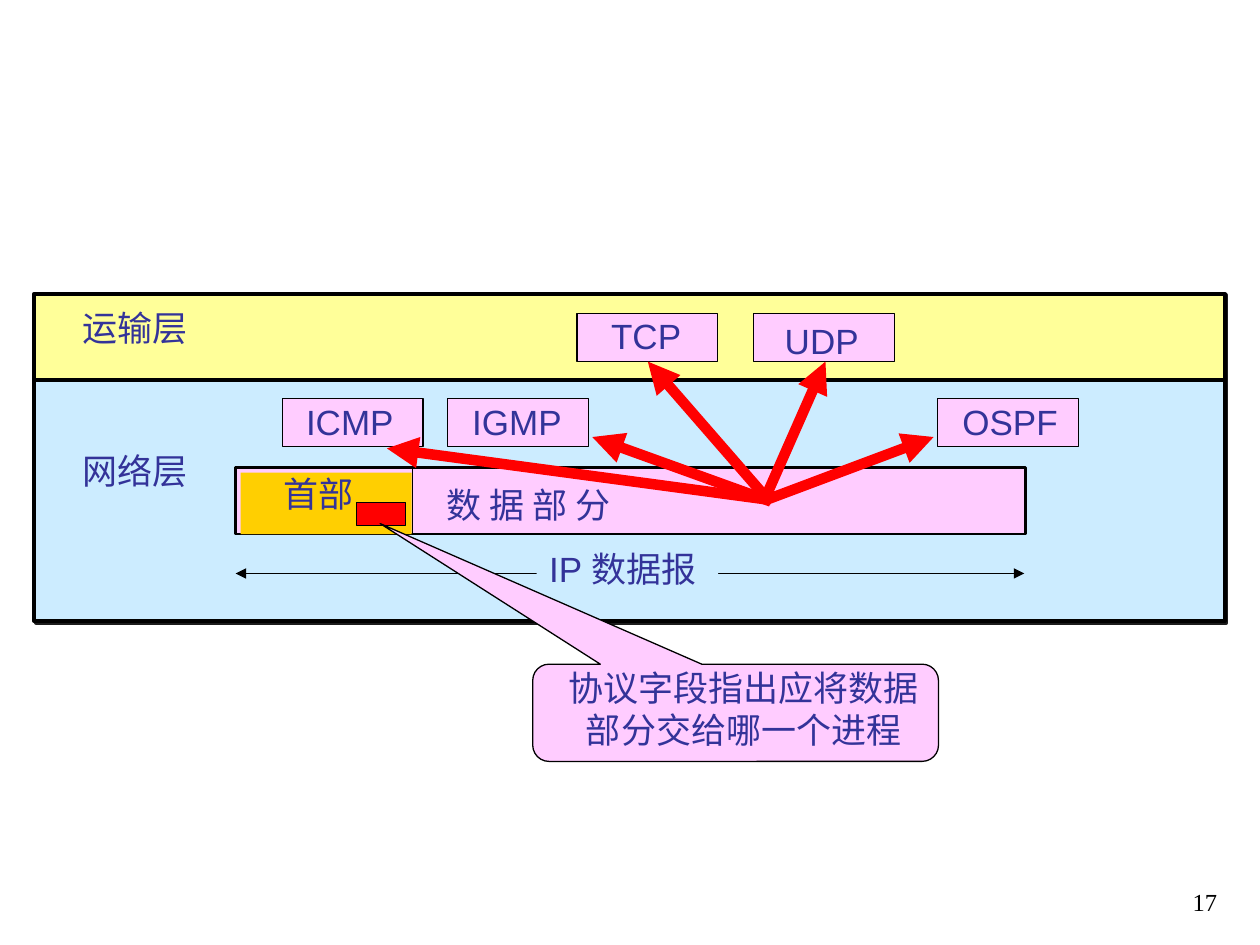
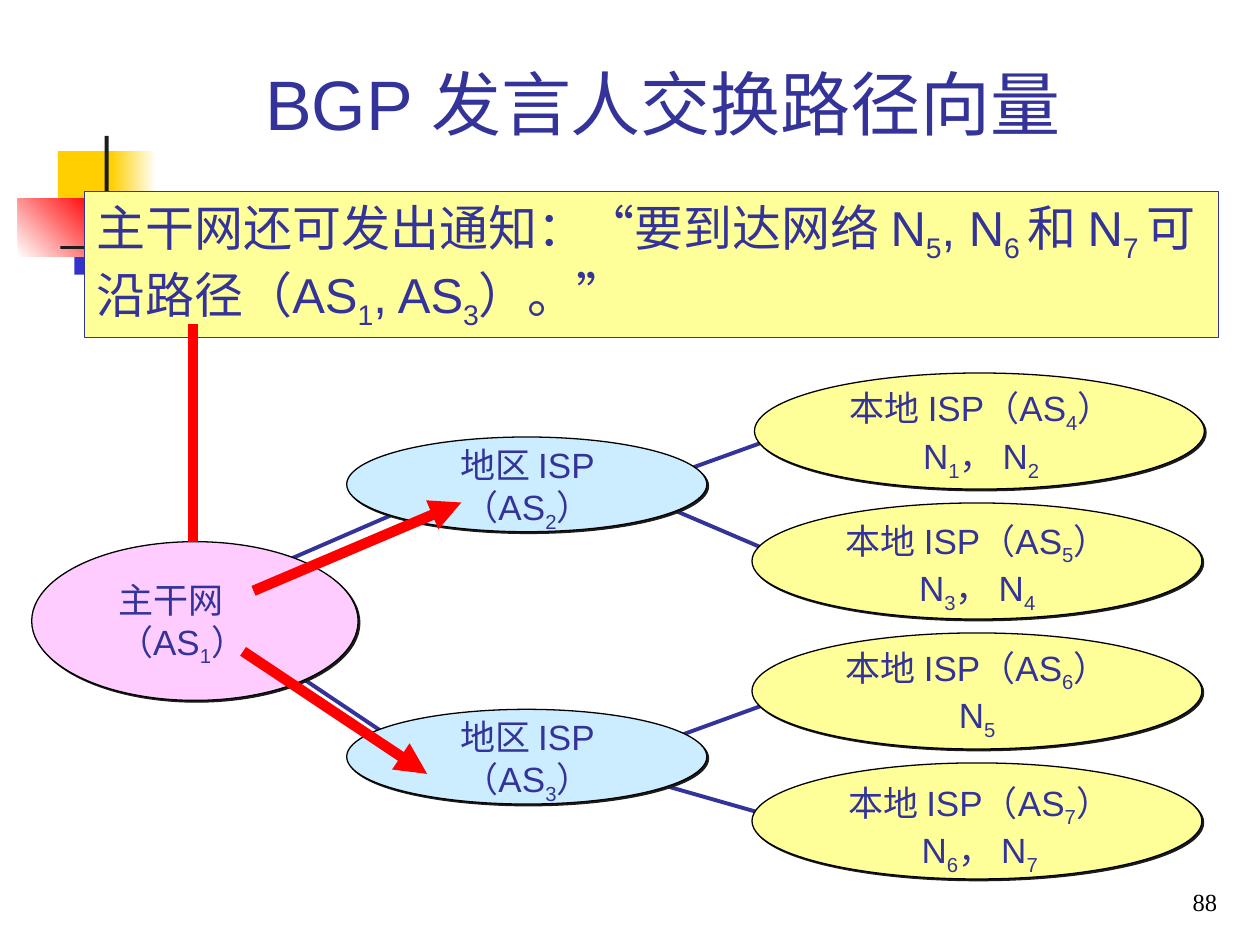
from dataclasses import dataclass
from typing import Optional

from pptx import Presentation
from pptx.dml.color import RGBColor
from pptx.enum.shapes import MSO_CONNECTOR, MSO_SHAPE
from pptx.enum.text import MSO_ANCHOR, MSO_AUTO_SIZE, PP_ALIGN
from pptx.oxml.ns import qn
from pptx.util import Cm, Pt
from lxml.etree import SubElement

BLACK = RGBColor(0x00, 0x00, 0x00)
WHITE = RGBColor(0xFF, 0xFF, 0xFF)
CHARCOAL = RGBColor(0x1C, 0x1C, 0x1C)
INK = RGBColor(0x33, 0x33, 0x99)
BLUE = RGBColor(0x33, 0x33, 0xCC)
GOLD = RGBColor(0xFF, 0xCF, 0x01)
RED = RGBColor(0xFF, 0x00, 0x00)
YELLOW = RGBColor(0xFF, 0xFF, 0x99)
SKY = RGBColor(0xCC, 0xEC, 0xFF)
PINK = RGBColor(0xFF, 0xCC, 0xFF)

BODY_FONT = {"name": "Arial", "size": Pt(20)}
BANNER_FONT = {"name": "Arial", "size": Pt(28)}
TITLE_FONT = {"name": "Arial", "size": Pt(40)}
NUMBER_FONT = {"name": "Times New Roman", "size": Pt(14)}
LABEL_FRAME = {"word_wrap": False, "auto_size": MSO_AUTO_SIZE.SHAPE_TO_FIT_TEXT,
               "vertical_anchor": MSO_ANCHOR.TOP}
WRAPPED_FRAME = {**LABEL_FRAME, "word_wrap": True}
BOTTOM_FRAME = {"word_wrap": True, "auto_size": MSO_AUTO_SIZE.NONE,
                "vertical_anchor": MSO_ANCHOR.BOTTOM}


@dataclass(frozen=True)
class Box:
    """A rectangle on the slide in centimetres."""
    left: float
    top: float
    width: float
    height: float

    def lengths(self) -> tuple:
        """Return the position and size as lengths."""
        return Cm(self.left), Cm(self.top), Cm(self.width), Cm(self.height)


@dataclass(frozen=True)
class Block:
    """A filled preset shape."""
    box: Box
    fill: RGBColor
    line: Optional[RGBColor] = BLACK
    weight: float = 0.75
    kind: MSO_SHAPE = MSO_SHAPE.RECTANGLE
    shadow: bool = False
    fade_to: Optional[RGBColor] = None
    angle: float = 0


@dataclass(frozen=True)
class Label:
    """A text whose subscripts stand between tildes."""
    text: str
    box: Box
    align: PP_ALIGN = PP_ALIGN.LEFT


@dataclass(frozen=True)
class Line:
    """A straight line with optional arrowheads."""
    start: tuple[float, float]
    end: tuple[float, float]
    color: RGBColor = BLACK
    weight: float = 0.75
    heads: tuple[str, ...] = ()


def apply(target, values: dict) -> None:
    """Set every attribute named in the dict."""
    for name, value in values.items():
        setattr(target, name, value)


def write(frame, text: str, font: dict, layout: dict,
          align: PP_ALIGN = PP_ALIGN.LEFT, color: RGBColor = INK) -> None:
    """Fill a text frame, lowering the pieces between tildes."""
    apply(frame, layout)
    for index, content in enumerate(text.split("\n")):
        paragraph = frame.paragraphs[0] if index == 0 else frame.add_paragraph()
        paragraph.alignment = align
        for position, piece in enumerate(content.split("~")):
            if not piece:
                continue
            run = paragraph.add_run()
            run.text = piece
            apply(run.font, font)
            run.font.color.rgb = color
            if position % 2:
                run.font._element.set("baseline", "-25000")


def draw_block(slide, block: Block):
    """Draw a shape with its fill, outline and shadow."""
    shape = slide.shapes.add_shape(block.kind, *block.box.lengths())
    shape.shadow.inherit = False
    if block.fade_to is None:
        shape.fill.solid()
        shape.fill.fore_color.rgb = block.fill
    else:
        shape.fill.gradient()
        shape.fill.gradient_angle = block.angle
        colors = (block.fill, block.fade_to)
        for position, (stop, color) in enumerate(zip(shape.fill.gradient_stops, colors)):
            apply(stop, {"position": position})
            stop.color.rgb = color
    if block.line is None:
        shape.line.fill.background()
    else:
        shape.line.color.rgb = block.line
        shape.line.width = Pt(block.weight)
    if block.shadow:
        effects = shape._element.spPr.find(qn("a:effectLst"))
        shadow = SubElement(effects, qn("a:outerShdw"), dist=str(Pt(1.4)),
                            dir="2700000", algn="ctr", rotWithShape="0")
        SubElement(shadow, qn("a:srgbClr"), val=str(CHARCOAL))
    return shape


def draw_label(slide, label: Label, layout: dict = LABEL_FRAME, font: dict = BODY_FONT,
               color: RGBColor = INK) -> None:
    """Draw a text box."""
    text_box = slide.shapes.add_textbox(*label.box.lengths())
    write(text_box.text_frame, label.text, font, layout, label.align, color)


def draw_line(slide, line: Line) -> None:
    """Draw a connector with its arrowheads."""
    connector = slide.shapes.add_connector(
        MSO_CONNECTOR.STRAIGHT, *(Cm(value) for value in line.start + line.end))
    connector.line.color.rgb = line.color
    connector.line.width = Pt(line.weight)
    outline = connector.line._get_or_add_ln()
    for head in line.heads:
        SubElement(outline, qn(f"a:{head}"), type="triangle")
    SubElement(connector._element.spPr, qn("a:effectLst"))


def draw_number(slide, number: int) -> None:
    """Draw the slide number at the lower right."""
    label = Label(str(number), Box(19.51, 17.32, 5.28, 1.27), PP_ALIGN.RIGHT)
    draw_label(slide, label, BOTTOM_FRAME, NUMBER_FONT, BLACK)


def red_arrow(start: tuple[float, float], end: tuple[float, float]) -> Line:
    """Return a thick red arrow."""
    return Line(start, end, RED, 6, ("tailEnd",))


LAYERS_AND_DATAGRAM = [
    Block(Box(0.69, 5.92, 24, 1.75), YELLOW, weight=2.25, shadow=True),
    Block(Box(0.69, 7.67, 24, 4.85), SKY, weight=2.25, shadow=True),
    Block(Box(4.75, 9.42, 15.93, 1.35), PINK, weight=1.5),
    Block(Box(4.85, 9.53, 3.45, 1.24), GOLD, None),
]
LAYER_LABELS = [
    Label("运输层", Box(1.42, 6.05, 2.7, 1.12)),
    Label("网络层", Box(1.42, 8.94, 2.7, 1.12)),
    Label("首部", Box(5.46, 9.4, 2, 1.12)),
]
PROTOCOLS = [
    (11.63, 6.32, Label("TCP", Box(12.07, 6.22, 2, 1.12))),
    (15.19, 6.32, Label("UDP", Box(15.57, 6.32, 2.1, 1.12))),
    (5.69, 8.03, Label("ICMP", Box(5.92, 7.95, 2.4, 1.12))),
    (9.02, 8.03, Label("IGMP", Box(9.27, 7.95, 2.4, 1.12))),
    (18.9, 8.03, Label("OSPF", Box(19.15, 7.95, 2.55, 1.12))),
]
DELIVERIES = [
    red_arrow((15.44, 10.01), (16.64, 7.29)),
    red_arrow((15.47, 10.06), (13.06, 7.29)),
    red_arrow((15.54, 10.11), (11.94, 8.81)),
    red_arrow((15.54, 10.08), (7.8, 9.04)),
    red_arrow((15.49, 10.06), (18.82, 8.81)),
]

DECORATION = [
    Block(Box(1.17, 3.05, 1.22, 1.32), GOLD, None),
    Block(Box(2.24, 3.05, 0.91, 1.32), GOLD, None, fade_to=WHITE),
    Block(Box(1.5, 4.22, 1.17, 1.32), BLUE, None),
    Block(Box(0.36, 4.01, 1.55, 1.17), WHITE, None, fade_to=RED, angle=45),
    Block(Box(2.11, 2.74, 0.08, 2.92), CHARCOAL, None),
    Block(Box(1.22, 4.95, 22.86, 0.08), CHARCOAL, None, fade_to=WHITE),
]
LINKS = [
    ((5.18, 11.56), (8.59, 10.08)),
    ((5.18, 13.06), (8.36, 15.19)),
    ((13.34, 9.65), (16.28, 8.59)),
    ((13.11, 10.08), (16.08, 11.35)),
    ((13.34, 14.96), (16.28, 13.89)),
    ((13.34, 15.82), (16.28, 16.66)),
]
REGIONAL_TOPS = {2: 8.81, 3: 14.3}
LOCAL_TOP, LOCAL_PITCH = 7.52, 2.62
LOCAL_LEFTS = [15.21, 15.16, 15.16, 15.16]
LOCAL_LABELS = [
    ("N~1~， N~2~", 16.54, 7.67),
    ("N~3~， N~4~", 16.46, 10.34),
    ("N~5~", 16.46, 12.9),
    ("N~6~， N~7~", 16.51, 15.62),
]
NETWORKS = [
    *((Box(6.99, top, 7.26, 1.91), SKY) for top in REGIONAL_TOPS.values()),
    (Box(0.64, 10.92, 6.58, 3.2), PINK),
    *((Box(left, LOCAL_TOP + row * LOCAL_PITCH, 9.07, 2.34), YELLOW)
      for row, left in enumerate(LOCAL_LEFTS)),
]
NETWORK_LABELS = [
    Label("主干网\n（AS~1~）", Box(2.13, 11.53, 3.43, 2.08)),
    *(Label(f"地区 ISP\n（AS~{number}~）", Box(8.92, top, 3.43, 2.08), PP_ALIGN.CENTER)
      for number, top in REGIONAL_TOPS.items()),
    *(Label(f"本地 ISP（AS~{number}~）\n{members}", Box(left, top, 6.48, 2.18), PP_ALIGN.CENTER)
      for number, (members, left, top) in enumerate(LOCAL_LABELS, 4)),
]
NOTICES = [
    Line((3.89, 6.53), (3.89, 10.92), RED, 6),
    red_arrow((5.11, 11.91), (9.3, 10.13)),
    red_arrow((4.9, 13.13), (8.61, 15.6)),
]


def build_protocol_slide(presentation) -> None:
    """Show how the protocol field selects the receiving process."""
    slide = presentation.slides.add_slide(presentation.slide_layouts[6])
    for block in LAYERS_AND_DATAGRAM:
        draw_block(slide, block)
    for label in LAYER_LABELS:
        draw_label(slide, label)
    draw_line(slide, Line((8.31, 9.42), (8.31, 10.77)))
    for left, top, label in PROTOCOLS:
        draw_block(slide, Block(Box(left, top, 2.84, 0.97), PINK))
        draw_label(slide, label)
    for arrow in DELIVERIES:
        draw_line(slide, arrow)
    draw_label(slide, Label("数 据 部 分", Box(8.76, 9.63, 3.9, 1.12)))
    draw_line(slide, Line((4.75, 11.56), (20.65, 11.56), heads=("headEnd", "tailEnd")))
    datagram_name = draw_block(slide, Block(Box(10.82, 10.92, 3.66, 1.12), SKY, None))
    write(datagram_name.text_frame, "IP 数据报", BODY_FONT, LABEL_FRAME)
    draw_block(slide, Block(Box(7.19, 10.13, 0.99, 0.46), RED))
    callout = draw_block(slide, Block(Box(10.74, 13.39, 8.18, 1.96), PINK,
                                      kind=MSO_SHAPE.ROUNDED_RECTANGULAR_CALLOUT))
    for index, value in enumerate((-0.876, -1.946, 0.167)):
        callout.adjustments[index] = value
    explanation = Label("协议字段指出应将数据\n部分交给哪一个进程",
                        Box(10.69, 13.31, 8.61, 1.96), PP_ALIGN.CENTER)
    draw_label(slide, explanation, WRAPPED_FRAME)
    draw_number(slide, 17)


def build_path_vector_slide(presentation) -> None:
    """Show the backbone announcing path vectors to regional networks."""
    slide = presentation.slides.add_slide(presentation.slide_layouts[5])
    for block in DECORATION:
        draw_block(slide, block)
    title = slide.shapes.title
    apply(title, dict(zip(("left", "top", "width", "height"),
                          Box(2.69, 0.71, 21.64, 2.34).lengths())))
    write(title.text_frame, "BGP 发言人交换路径向量", TITLE_FONT,
          {**BOTTOM_FRAME, "margin_right": Cm(0.55)}, PP_ALIGN.CENTER)
    for start, end in LINKS:
        draw_line(slide, Line(start, end, INK, 2.25))
    for box, fill in NETWORKS:
        draw_block(slide, Block(box, fill, kind=MSO_SHAPE.OVAL, shadow=True))
    for label in NETWORK_LABELS:
        draw_label(slide, label)
    banner = draw_block(slide, Block(Box(1.7, 3.86, 22.86, 2.95), YELLOW, INK))
    write(banner.text_frame, "主干网还可发出通知：“要到达网络 N~5~, N~6 ~和 N~7 ~"
          "可沿路径（AS~1~, AS~3~）。”", BANNER_FONT, WRAPPED_FRAME)
    for notice in NOTICES:
        draw_line(slide, notice)
    draw_number(slide, 88)


def main() -> None:
    """Build and save the presentation."""
    presentation = Presentation()
    apply(presentation, {"slide_width": Cm(25.4), "slide_height": Cm(19.05)})
    build_protocol_slide(presentation)
    build_path_vector_slide(presentation)
    presentation.save("out.pptx")


if __name__ == "__main__":
    main()
